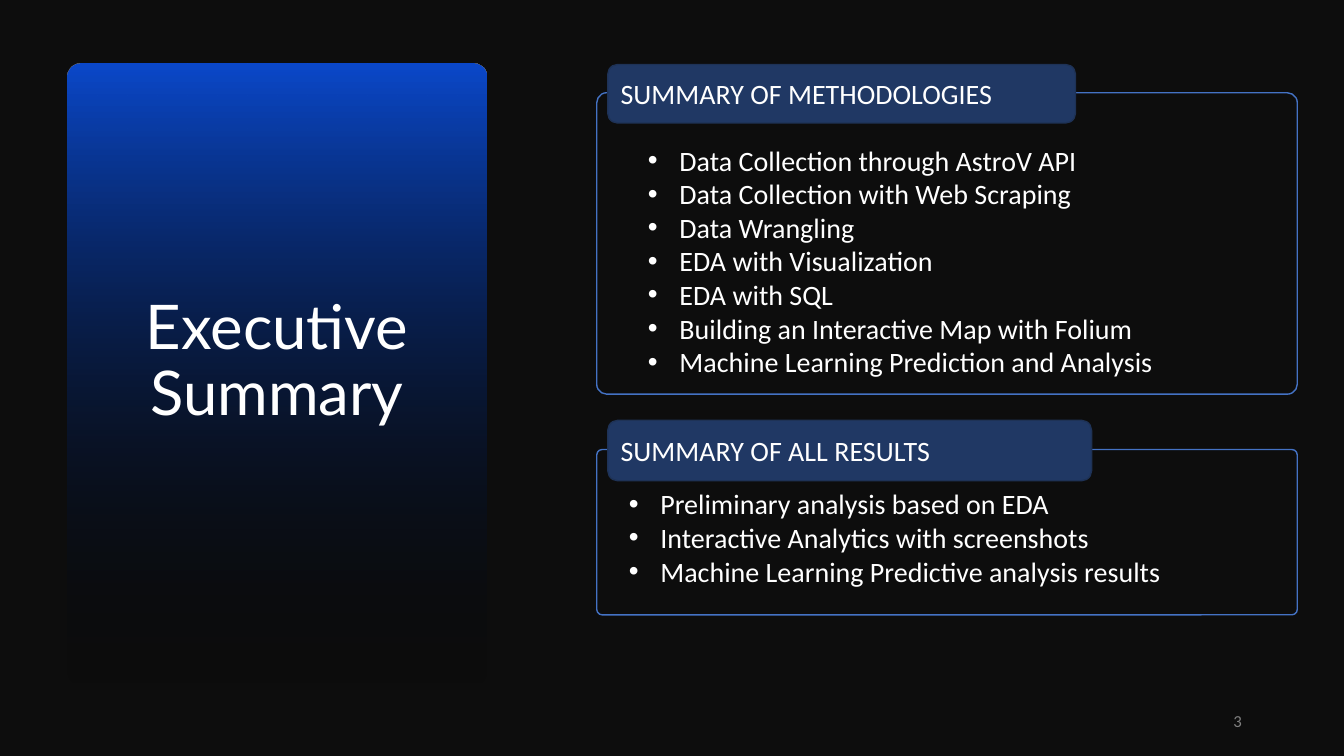
from lxml.etree import SubElement
from pptx import Presentation
from pptx.dml.color import RGBColor
from pptx.enum.shapes import MSO_SHAPE as Shape
from pptx.enum.text import MSO_ANCHOR as Anchor, MSO_AUTO_SIZE as AutoSize, PP_ALIGN as Align
from pptx.oxml.ns import qn
from pptx.util import Pt

BACKDROP = RGBColor(0x0D, 0x0D, 0x0D)
PANEL_BLUE = RGBColor(0x0B, 0x49, 0xCB)
BLACK = RGBColor(0x00, 0x00, 0x00)
WHITE = RGBColor(0xFF, 0xFF, 0xFF)
GREY = RGBColor(0x80, 0x80, 0x80)
FRAME_BLUE = RGBColor(0x44, 0x72, 0xC4)
LABEL_FILL = RGBColor(0x20, 0x38, 0x64)
LABEL_EDGE = RGBColor(0x1E, 0x32, 0x56)

METHODOLOGIES = [
    "Data Collection through AstroV API",
    "Data Collection with Web Scraping",
    "Data Wrangling",
    "EDA with Visualization",
    "EDA with SQL",
    "Building an Interactive Map with Folium",
    "Machine Learning Prediction and Analysis",
]
RESULTS = [
    "Preliminary analysis based on EDA",
    "Interactive Analytics with screenshots",
    "Machine Learning Predictive analysis results",
]


def style(paragraph, size, color=WHITE, font="Calibri", align=Align.LEFT):
    paragraph.alignment = align
    for run in paragraph.runs:
        run.font.name = font
        run.font.size = Pt(size)
        run.font.color.rgb = color


def add_rounded(slide, left, top, width, height, edge=None):
    rounded = slide.shapes.add_shape(
        Shape.ROUNDED_RECTANGLE, Pt(left), Pt(top), Pt(width), Pt(height))
    rounded.shadow.inherit = False
    if edge is None:
        rounded.line.fill.background()
    else:
        rounded.line.color.rgb = edge
        rounded.line.width = Pt(1)
    return rounded


def add_title_panel(slide, left, top, width, height):
    panel = add_rounded(slide, left, top, width, height)
    panel.adjustments[0] = 0.03
    panel.fill.gradient()
    panel.fill.gradient_angle = 270
    start, end = panel.fill.gradient_stops
    start.color.rgb, start.position = PANEL_BLUE, 0
    end.color.rgb, end.position = BLACK, 1
    end_color = panel.element.findall(".//" + qn("a:srgbClr"))[-1]
    SubElement(end_color, qn("a:alpha"), val="0")

    title = slide.shapes.title
    title.element.addprevious(panel.element)
    title.left, title.top = Pt(left + 20.16), Pt(top + 49.68)
    title.width, title.height = Pt(width - 40.32), Pt(height - 116.64)
    frame = title.text_frame
    frame.text = "Executive Summary"
    frame.word_wrap = True
    frame.auto_size = AutoSize.NONE
    frame.vertical_anchor = Anchor.MIDDLE
    heading = frame.paragraphs[0]
    heading.line_spacing = 0.9
    heading.space_before = Pt(0)
    heading.space_after = Pt(6)
    style(heading, 44, font="Lato", align=Align.CENTER)


def add_bullets(slide, items, left, top, width, height):
    frame = slide.shapes.add_textbox(Pt(left), Pt(top), Pt(width), Pt(height)).text_frame
    frame.word_wrap = True
    frame.text = "\n".join(items)
    for item in frame.paragraphs:
        properties = item._p.get_or_add_pPr()
        properties.set("marL", str(Pt(22.5)))
        properties.set("indent", str(Pt(-22.5)))
        SubElement(properties, qn("a:buFont"), typeface="Arial")
        SubElement(properties, qn("a:buChar"), char="•")
        style(item, 20)


def add_summary(slide, heading, items, box, label_size, list_box):
    left, top, width, height = box
    label_width, label_height = label_size
    list_left, list_top, list_width, list_height = list_box

    outline = add_rounded(slide, left, top, width, height, FRAME_BLUE)
    outline.adjustments[0] = 0.033
    outline.fill.background()

    label = add_rounded(slide, left + 7.92, top - label_height / 2 + 0.72,
                        label_width, label_height, LABEL_EDGE)
    label.fill.solid()
    label.fill.fore_color.rgb = LABEL_FILL
    label.text_frame.text = heading
    label.text_frame.vertical_anchor = Anchor.MIDDLE
    style(label.text_frame.paragraphs[0], 20)

    add_bullets(slide, items, left + list_left, top + list_top, list_width, list_height)


def add_page_number(slide, left, top, width, height):
    frame = slide.shapes.add_textbox(Pt(left), Pt(top), Pt(width), Pt(height)).text_frame
    frame.word_wrap = True
    frame.vertical_anchor = Anchor.MIDDLE
    frame.text = "3"
    frame.paragraphs[0].space_after = Pt(6)
    style(frame.paragraphs[0], 12, GREY, align=Align.RIGHT)


def main():
    deck = Presentation()
    deck.slide_width, deck.slide_height = Pt(960), Pt(540)
    slide = deck.slides.add_slide(deck.slide_layouts[5])
    slide.background.fill.solid()
    slide.background.fill.fore_color.rgb = BACKDROP

    add_title_panel(slide, 48.24, 45.36, 299.52, 444.24)
    add_page_number(slide, 678.24, 500.4, 216, 28.8)
    add_summary(slide, "SUMMARY OF METHODOLOGIES", METHODOLOGIES,
                (426.24, 66.24, 500.4, 215.28), (334.08, 41.76),
                (29.52, 32.4, 380.88, 200.88))
    add_summary(slide, "SUMMARY OF ALL RESULTS", RESULTS,
                (426.24, 321.12, 500.4, 118.08), (345.6, 43.2),
                (15.84, 23.04, 463.68, 79.92))
    deck.save("out.pptx")


if __name__ == "__main__":
    main()
